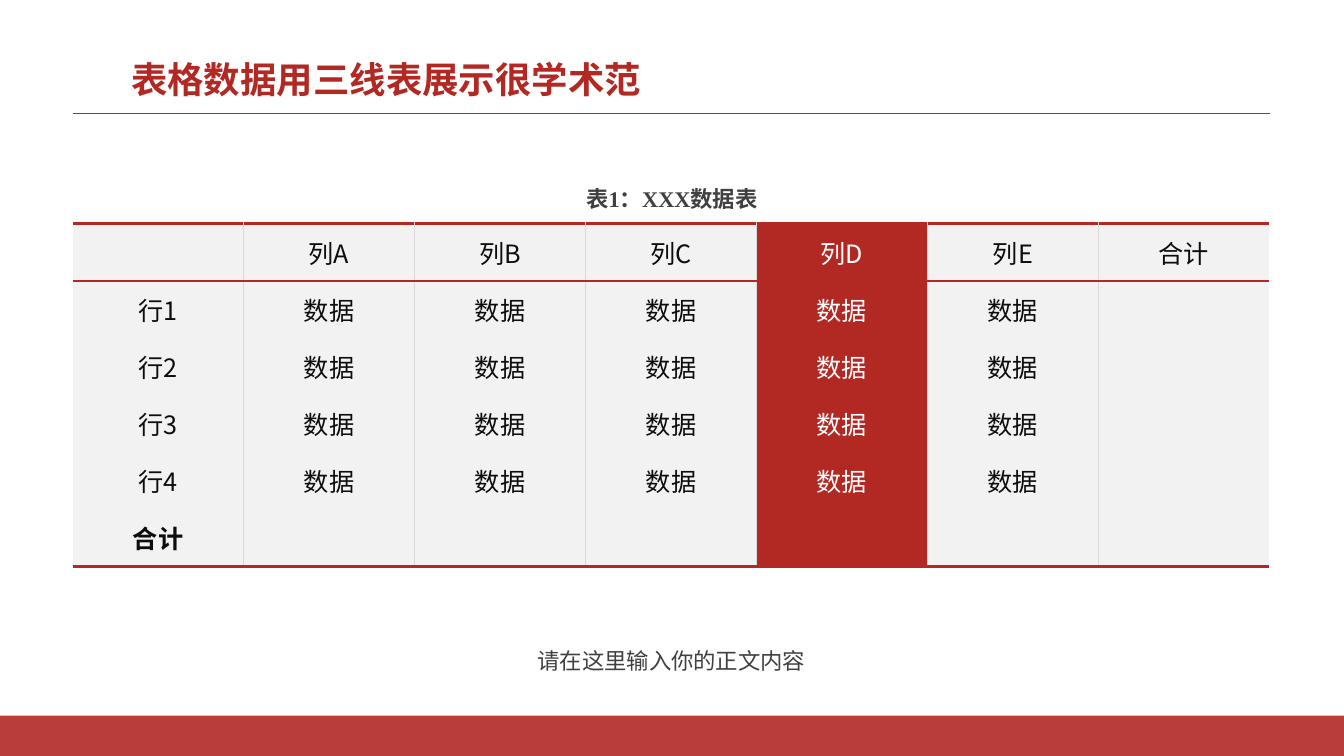
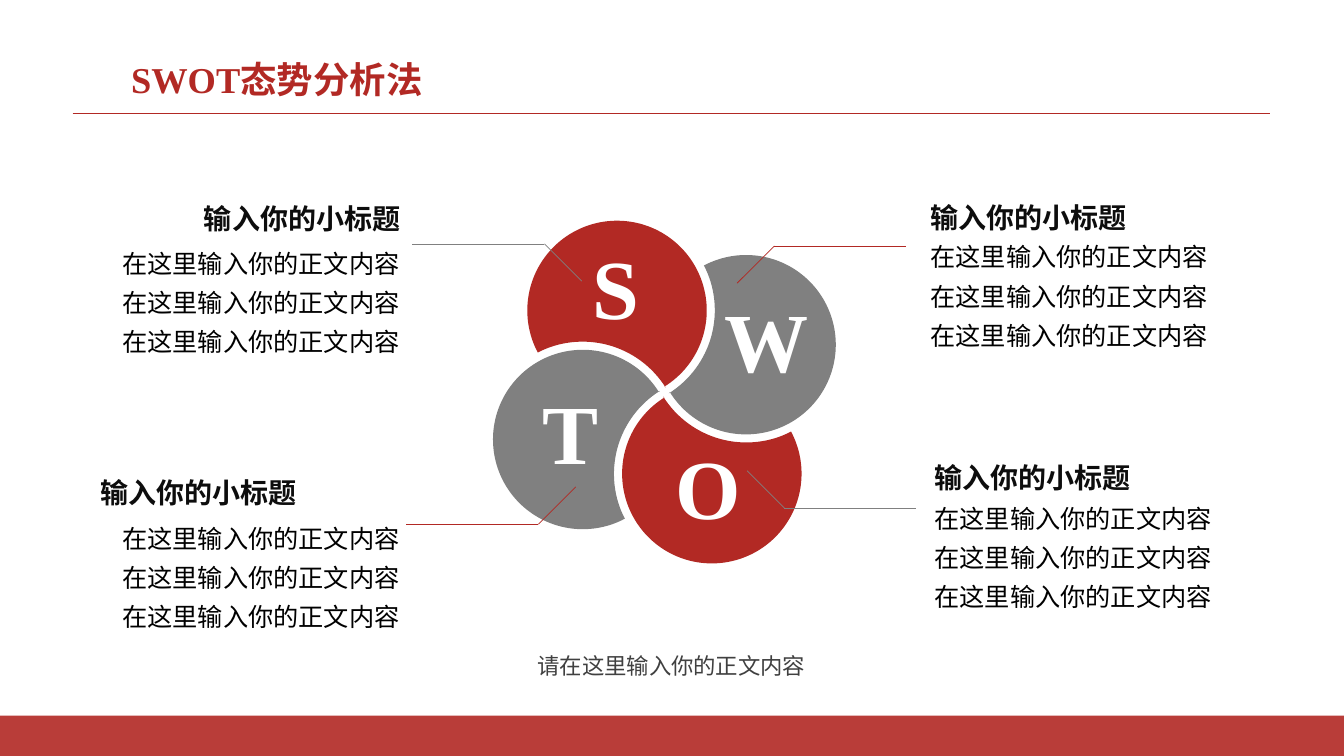
from dataclasses import dataclass
from math import cos, radians, sin, tan

from lxml import etree
from pptx import Presentation
from pptx.dml.color import RGBColor
from pptx.enum.shapes import MSO_CONNECTOR, MSO_SHAPE
from pptx.enum.text import MSO_ANCHOR, PP_ALIGN
from pptx.oxml.ns import qn
from pptx.util import Inches, Pt

LEFT, CENTER, RIGHT = PP_ALIGN.LEFT, PP_ALIGN.CENTER, PP_ALIGN.RIGHT
MIDDLE = MSO_ANCHOR.MIDDLE
RECTANGLE = MSO_SHAPE.RECTANGLE
STRAIGHT = MSO_CONNECTOR.STRAIGHT

RED, GREY, WHITE, BLACK = "B22924", "808080", "FFFFFF", "000000"
INK, CAPTION_GREY = "0D0D0D", "404040"
CELL_GREY, RULE_GREY = "F2F2F2", "D9D9D9"
SERIF, SANS = "Times New Roman", "Noto Sans CJK SC"

SLIDE_WIDTH, MARGIN, CONTENT_WIDTH = 13.33, 0.72, 11.88
NOTE = "请在这里输入你的正文内容"
HEADING = "输入你的小标题"
BODY = ["在这里输入你的正文内容"] * 3


@dataclass
class Quadrant:
    """One SWOT part; turn counts quarter turns clockwise from the top petal."""
    turn: int
    letter: str
    letter_at: tuple
    tip: tuple
    side: int
    rise: int
    heading_box: tuple
    body_box: tuple
    heading_align: int
    body_align: int


QUADRANTS = [
    Quadrant(2, "O", (6.42, 4.27), (7.41, 4.67), 1, 1,
             (9.17, 4.52, 3.39, 0.5), (9.17, 4.85, 3.43, 1.43), LEFT, LEFT),
    Quadrant(0, "S", (5.51, 2.29), (5.77, 2.79), -1, -1,
             (0.9, 1.95, 3.17, 0.5), (0.72, 2.32, 3.34, 1.28), RIGHT, RIGHT),
    Quadrant(3, "T", (5.06, 3.73), (5.71, 4.83), -1, 1,
             (0.9, 4.67, 3.17, 0.5), (0.72, 5.05, 3.34, 1.23), LEFT, RIGHT),
    Quadrant(1, "W", (7.0, 2.81), (7.31, 2.81), 1, -1,
             (9.13, 1.94, 3.38, 0.5), (9.13, 2.26, 3.38, 1.47), LEFT, LEFT),
]


def color(hex_string):
    return RGBColor.from_string(hex_string)


def inches(values):
    return [Inches(value) for value in values]


def add_run(paragraph, text, size, hex_color, bold=False, font_name=SERIF):
    run = paragraph.add_run()
    run.text = text
    font = run.font
    font.name, font.size, font.bold = font_name, Pt(size), bold
    font.color.rgb = color(hex_color)
    etree.SubElement(font._element, qn("a:ea"), typeface=SANS)


def add_text(slide, box, lines, size, hex_color, align=LEFT, bold=False,
             spacing=1.0, side_inset=0.1):
    frame = slide.shapes.add_textbox(*inches(box)).text_frame
    frame.word_wrap = True
    frame.margin_left = frame.margin_right = Inches(side_inset)
    for index, line in enumerate(lines):
        paragraph = frame.add_paragraph() if index else frame.paragraphs[0]
        paragraph.alignment = align
        paragraph.line_spacing = spacing
        add_run(paragraph, line, size, hex_color, bold)


def add_line(slide, start, end, hex_color):
    line = slide.shapes.add_connector(STRAIGHT, *inches(start + end))
    line.line.color.rgb = color(hex_color)
    line.line.width = Pt(0.5)
    etree.SubElement(line.element.spPr, qn("a:effectLst"))
    return line


def fill_shape(shape, hex_color, opacity=100):
    shape.shadow.inherit = False
    shape.fill.solid()
    shape.fill.fore_color.rgb = color(hex_color)
    shape.line.fill.background()
    if opacity < 100:
        fill_color = shape.element.spPr.find(qn("a:solidFill"))[0]
        etree.SubElement(fill_color, qn("a:alpha"), val=str(opacity * 1000))


def add_panel(slide, top, height, hex_color, opacity):
    panel = slide.shapes.add_shape(
        RECTANGLE, *inches((0, top, SLIDE_WIDTH, height)))
    fill_shape(panel, hex_color, opacity)
    return panel


def dress_layout(slide):
    """Give the slide's layout the title box, page panel, band and title rule."""
    layout = slide.slide_layout
    for placeholder in list(layout.placeholders):
        if placeholder.placeholder_format.idx:
            placeholder.element.getparent().remove(placeholder.element)
        else:
            (placeholder.left, placeholder.top, placeholder.width,
             placeholder.height) = inches((1.3, 0.63, 8, 0.37))
    page = add_panel(slide, 0, 7.1, WHITE, 93)
    band = add_panel(slide, 7.1, 0.4, RED, 90)
    rule = add_line(slide, (MARGIN, 1.12), (MARGIN + CONTENT_WIDTH, 1.12), RED)
    for shape in (page, band, rule):
        layout.shapes.element.append(shape.element)


def set_title(slide, text):
    frame = slide.shapes.title.text_frame
    frame.margin_left = frame.margin_right = 0
    frame.margin_top = frame.margin_bottom = 0
    frame.vertical_anchor = MIDDLE
    paragraph = frame.paragraphs[0]
    paragraph.alignment = LEFT
    paragraph.line_spacing = 0.9
    add_run(paragraph, text, 26, RED, bold=True)


def add_note(slide, top):
    add_text(slide, (MARGIN, top, CONTENT_WIDTH, 0.42), [NOTE], 16,
             CAPTION_GREY, CENTER, spacing=1.3, side_inset=0)


def set_border(cell, edge, hex_color=None, width=0):
    """Draw one edge (L, R, T or B) of a cell, or clear it."""
    properties = cell._tc.get_or_add_tcPr()
    line = etree.SubElement(properties, qn(f"a:ln{edge}"), w=str(Pt(width)))
    if hex_color:
        fill = etree.SubElement(line, qn("a:solidFill"))
        etree.SubElement(fill, qn("a:srgbClr"), val=hex_color)
    else:
        etree.SubElement(line, qn("a:noFill"))


def add_three_line_table(slide, box, rows, accent_column):
    row_count, column_count = len(rows), len(rows[0])
    last_row, last_column = row_count - 1, column_count - 1
    table = slide.shapes.add_table(row_count, column_count, *inches(box)).table
    table.first_row = table.horz_banding = False
    heavy, light, none = (RED, 2.25), (RULE_GREY, 1), ()
    for row, texts in enumerate(rows):
        for column, text in enumerate(texts):
            cell = table.cell(row, column)
            accented = column == accent_column
            set_border(cell, "L", *(light if column else none))
            set_border(cell, "R", *(light if column < last_column else none))
            set_border(cell, "T", *(heavy if row < 2 else none))
            set_border(cell, "B", *(heavy if row in (0, last_row) else none))
            cell.fill.solid()
            cell.fill.fore_color.rgb = color(RED if accented else CELL_GREY)
            cell.vertical_anchor = MIDDLE
            paragraph = cell.text_frame.paragraphs[0]
            paragraph.alignment = CENTER
            if text:
                add_run(paragraph, text, 18, WHITE if accented else INK,
                        bold=row == last_row, font_name=SANS)


def arc(center, radius, start, end, pieces):
    """Bezier points of an arc: its start, then three points for each piece."""
    step = radians(end - start) / pieces
    pull = 4 / 3 * tan(step / 4)

    def point(angle, along):
        return (center[0] + radius * (cos(angle) - along * sin(angle)),
                center[1] + radius * (sin(angle) + along * cos(angle)))

    points = [point(radians(start), 0)]
    for piece in range(pieces):
        angle = radians(start) + piece * step
        points += [point(angle, pull), point(angle + step, -pull),
                   point(angle + step, 0)]
    return points


def add_curve(slide, points, hex_color):
    """Draw a closed outline of Bezier pieces, three points to a piece."""
    outline = [tuple(inches(point)) for point in points]
    builder = slide.shapes.build_freeform(*outline[0])
    builder.add_line_segments(outline[1:], close=True)
    shape = builder.convert_to_shape()
    segments = list(shape.element.iter(qn("a:lnTo")))
    for first in range(0, len(segments), 3):
        curve = etree.Element(qn("a:cubicBezTo"))
        segments[first].addprevious(curve)
        for segment in segments[first:first + 3]:
            curve.append(segment[0])
            segment.getparent().remove(segment)
    fill_shape(shape, hex_color)


def add_petal(slide, hub, turn, hex_color):
    """Draw a disc bitten by its neighbour, turned about the hub."""
    points = (arc((-0.47, -0.81), 0.89, 58, -208, 4)
              + arc((-0.81, 0.47), 0.97, 242, 328, 2)[1:])
    for _ in range(turn):
        points = [(-y, x) for x, y in points]
    add_curve(slide, [(hub[0] + x, hub[1] + y) for x, y in points], hex_color)


def add_quadrant(slide, hub, quadrant):
    petal_color, leader_color = (GREY, RED) if quadrant.turn % 2 else (RED, GREY)
    add_petal(slide, hub, quadrant.turn, petal_color)
    add_text(slide, quadrant.letter_at + (1.2, 1.11), [quadrant.letter], 60,
             WHITE, CENTER, bold=True)
    x, y = quadrant.tip
    elbow = (x + 0.37 * quadrant.side, y + 0.37 * quadrant.rise)
    end = (elbow[0] + 1.31 * quadrant.side, elbow[1])
    add_line(slide, quadrant.tip, elbow, leader_color)
    add_line(slide, elbow, end, leader_color)
    add_text(slide, quadrant.body_box, BODY, 18, BLACK, quadrant.body_align,
             spacing=1.3)
    add_text(slide, quadrant.heading_box, [HEADING], 20, INK,
             quadrant.heading_align, bold=True)


def build_table_slide(slide):
    set_title(slide, "表格数据用三线表展示很学术范")
    add_note(slide, 6.29)
    header = [""] + [f"列{name}" for name in "ABCDE"] + ["合计"]
    body = [[f"行{number}"] + ["数据"] * 5 + [""] for number in range(1, 5)]
    total = ["合计"] + [""] * 6
    add_three_line_table(slide, (MARGIN, 2.22, 11.87, 3.4),
                         [header] + body + [total], accent_column=4)
    add_text(slide, (4.34, 1.71, 4.65, 0.42), ["表1：XXX数据表"], 16,
             CAPTION_GREY, CENTER, bold=True, spacing=1.3)


def build_swot_slide(slide):
    set_title(slide, "SWOT态势分析法")
    for quadrant in QUADRANTS:
        add_quadrant(slide, (6.59, 3.89), quadrant)
    add_note(slide, 6.34)


def main():
    presentation = Presentation()
    presentation.slide_width, presentation.slide_height = inches((SLIDE_WIDTH, 7.5))
    layout = presentation.slide_layouts[5]
    table_slide = presentation.slides.add_slide(layout)
    dress_layout(table_slide)
    build_table_slide(table_slide)
    build_swot_slide(presentation.slides.add_slide(layout))
    presentation.save("out.pptx")


if __name__ == "__main__":
    main()
